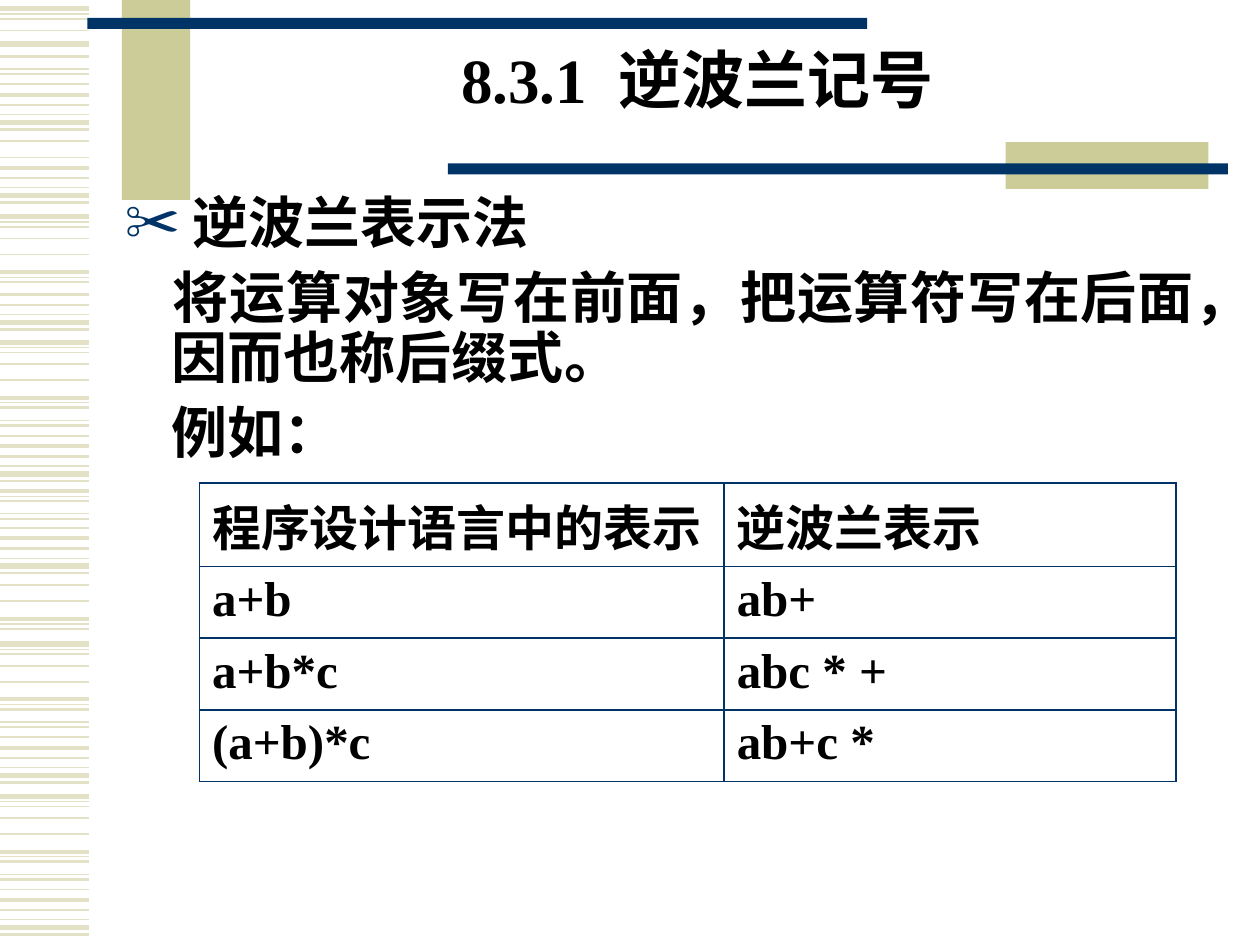
from dataclasses import dataclass

from lxml import etree
from pptx import Presentation
from pptx.dml.color import RGBColor
from pptx.enum import shapes, text
from pptx.oxml import ns
from pptx.util import Pt


@dataclass(frozen=True)
class Theme:
    font: str = "Times New Roman"
    ink: str = "000000"
    navy: str = "003366"
    khaki: str = "CCCC99"
    stripe: str = "E3E2C7"
    title_size: float = 36
    body_size: float = 32
    table_size: float = 28
    border: float = 1.08


COARSE = [(0, 3), (3, 0.75), (5.9, 1), (12.5, 1), (21.6, 1),
          (31.7, 2.25), (34.6, 0.75), (37.4, 1.5), (44.6, 0.75), (47.5, 1.5)]
FINE = [(0, 1), (5.9, 2.25), (11.8, 1.5), (17.3, 0.75), (21.8, 3), (25.8, 1.5)]
STRIPE_BANDS = [
    (5, COARSE[:4]), (25.2, COARSE[:1]), (-5.2, COARSE[7:]), (48.2, FINE),
    (59, COARSE[4:5]), (90, FINE), (123.8, COARSE[:8]), (162.4, FINE[1:]),
    (195.6, COARSE), (249, FINE), (249, COARSE[5:]), (301.7, FINE),
    (322, COARSE[3:8]), (368, COARSE), (421.3, FINE), (455, COARSE), (508.3, FINE),
]
STRIPE_LENGTH = 51.1

BLOCKS = [
    ((69.7, 0, 39, 114.3), "khaki"),
    ((49.9, 10.3, 445.7, 6.3), "navy"),
    ((574.6, 81.2, 116, 26.8), "khaki"),
    ((256, 93.4, 445.7, 6.3), "navy"),
]

BODY = [
    (" 逆波兰表示法", "✂"),
    ("\t将运算对象写在前面，把运算符写在后面，因而也称后缀式。", None),
    ("\t例如：", None),
]
NOTATIONS = [
    ("程序设计语言中的表示", "逆波兰表示"),
    ("a+b", "ab+"),
    ("a+b*c", "abc * +"),
    ("(a+b)*c", "ab+c *"),
]


def add_element(parent, tag, **attributes):
    return etree.SubElement(parent, ns.qn(tag), attributes)


class SlideBuilder:
    def __init__(self, slide, theme):
        self.slide = slide
        self.theme = theme

    def color(self, name):
        return RGBColor.from_string(getattr(self.theme, name))

    def place(self, shape, box):
        for name, value in zip(("left", "top", "width", "height"), box):
            setattr(shape, name, Pt(value))

    def fill_paragraph(self, paragraph, content, size, **formats):
        for name, value in formats.items():
            setattr(paragraph, name, value)
        run = paragraph.add_run()
        run.text = content
        font = {"name": self.theme.font, "size": Pt(size), "bold": True}
        for name, value in font.items():
            setattr(run.font, name, value)
        run.font.color.rgb = self.color("ink")

    def stripe(self, y, width):
        line = self.slide.shapes.add_connector(
            shapes.MSO_CONNECTOR.STRAIGHT, 0, Pt(y), Pt(STRIPE_LENGTH), Pt(y))
        line.line.color.rgb = self.color("stripe")
        line.line.width = Pt(width)
        add_element(line._element.spPr, "a:effectLst")

    def block(self, box, color):
        shape = self.slide.shapes.add_shape(
            shapes.MSO_SHAPE.RECTANGLE, *(Pt(value) for value in box))
        shape.shadow.inherit = False
        shape.fill.solid()
        shape.fill.fore_color.rgb = self.color(color)
        shape.line.fill.background()

    def frame(self, placeholder, box, anchor):
        self.place(placeholder, box)
        frame = placeholder.text_frame
        formats = {"word_wrap": True, "auto_size": text.MSO_AUTO_SIZE.NONE,
                   "vertical_anchor": anchor}
        for name, value in formats.items():
            setattr(frame, name, value)
        return frame

    def title(self, content, box):
        frame = self.frame(self.slide.shapes.title, box, text.MSO_ANCHOR.MIDDLE)
        self.fill_paragraph(frame.paragraphs[0], content, self.theme.title_size,
                            alignment=text.PP_ALIGN.CENTER, line_spacing=0.85)

    def bullet(self, paragraph, mark):
        properties = paragraph._p.get_or_add_pPr()
        properties.set("marL", str(Pt(27)))
        properties.set("indent", str(Pt(-27)))
        if mark:
            color = add_element(properties, "a:buClr")
            add_element(color, "a:srgbClr", val=self.theme.navy)
            add_element(properties, "a:buChar", char=mark)
        else:
            add_element(properties, "a:buNone")

    def body(self, items, box):
        frame = self.frame(self.slide.placeholders[1], box, text.MSO_ANCHOR.TOP)
        for index, (content, mark) in enumerate(items):
            paragraph = frame.add_paragraph() if index else frame.paragraphs[0]
            self.bullet(paragraph, mark)
            self.fill_paragraph(paragraph, content, self.theme.body_size,
                                alignment=text.PP_ALIGN.JUSTIFY, line_spacing=0.9,
                                space_before=Pt(8 if index else 0))

    def borders(self, cell):
        properties = cell._tc.get_or_add_tcPr()
        for index, side in enumerate(("a:lnL", "a:lnR", "a:lnT", "a:lnB")):
            line = etree.Element(ns.qn(side), w=str(Pt(self.theme.border)))
            fill = add_element(line, "a:solidFill")
            add_element(fill, "a:srgbClr", val=self.theme.navy)
            properties.insert(index, line)

    def table(self, rows, box, column_widths):
        table = self.slide.shapes.add_table(
            len(rows), len(column_widths), *(Pt(value) for value in box)).table
        table.first_row = table.horz_banding = False
        for column, width in zip(table.columns, column_widths):
            column.width = Pt(width)
        for row, contents in zip(table.rows, rows):
            for cell, content in zip(row.cells, contents):
                cell.fill.background()
                self.borders(cell)
                self.fill_paragraph(cell.text_frame.paragraphs[0], content,
                                    self.theme.table_size)


def main():
    presentation = Presentation()
    presentation.slide_width = Pt(720)
    presentation.slide_height = Pt(540)
    slide = presentation.slides.add_slide(presentation.slide_layouts[1])
    builder = SlideBuilder(slide, Theme())
    for start, band in STRIPE_BANDS:
        for offset, width in band:
            builder.stripe(start + offset, width)
    for box, color in BLOCKS:
        builder.block(box, color)
    builder.title("8.3.1  逆波兰记号", (108, 18, 581, 60))
    builder.body(BODY, (64, 108, 626.4, 172.8))
    for placeholder in (slide.shapes.title, slide.placeholders[1]):
        slide.shapes._spTree.append(placeholder._element)
    builder.table(NOTATIONS, (114, 276, 558, 164), (299.8, 258.2))
    presentation.save("out.pptx")


if __name__ == "__main__":
    main()
